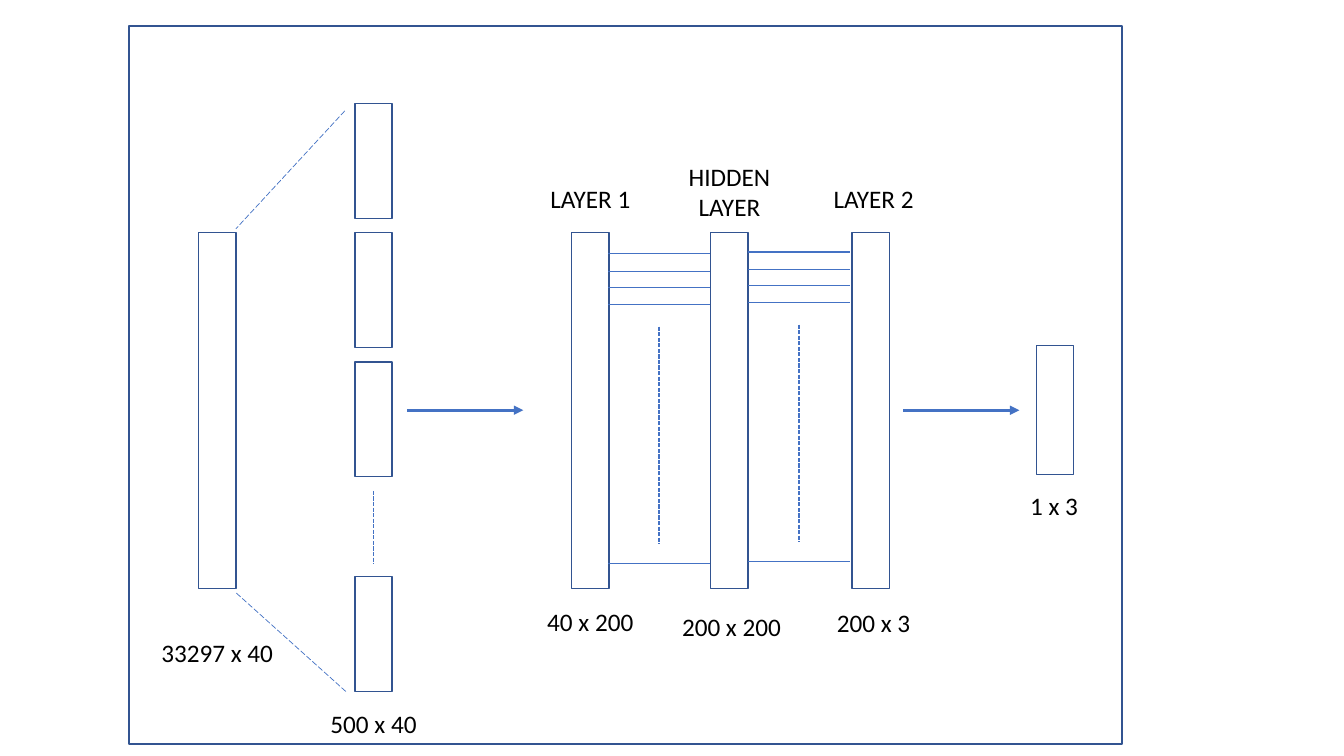
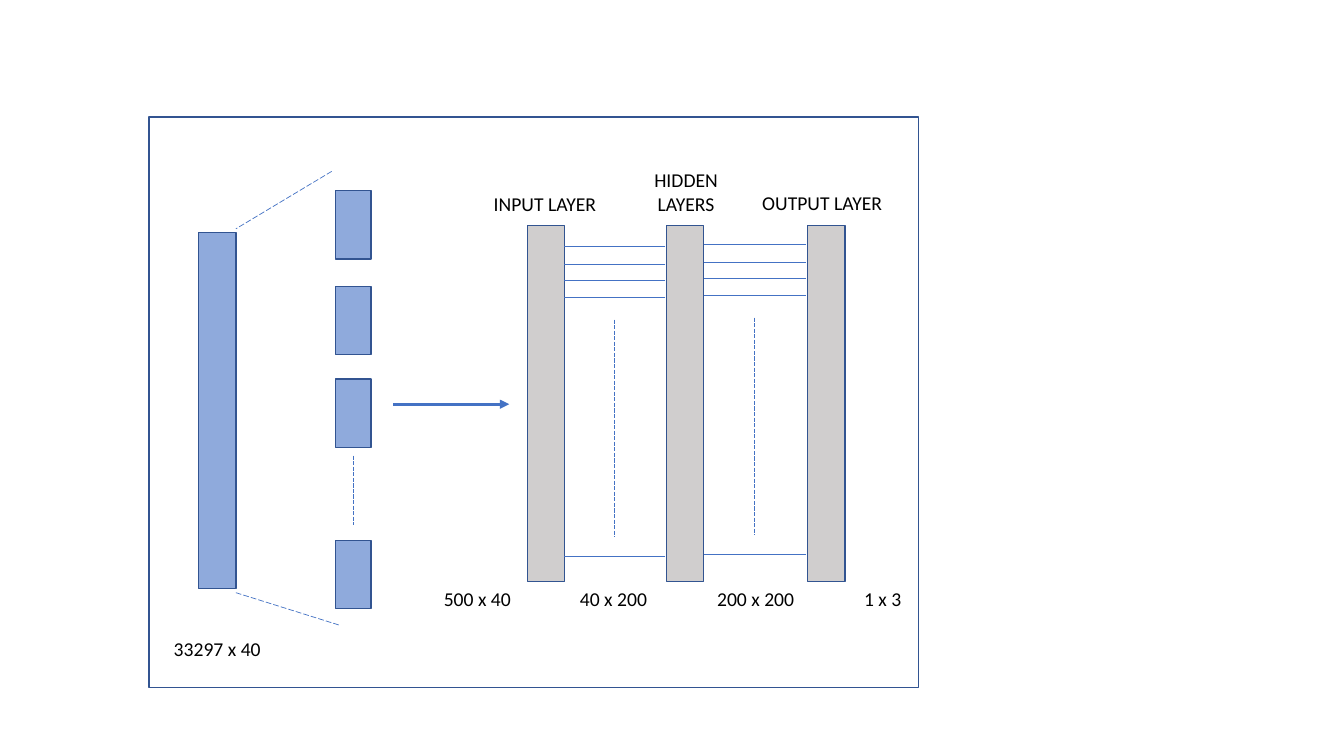
from pptx import Presentation
from pptx.dml.color import RGBColor
from pptx.enum.dml import MSO_LINE
from pptx.enum.shapes import MSO_CONNECTOR, MSO_SHAPE
from pptx.enum.text import PP_ALIGN
from pptx.oxml.ns import qn
from pptx.util import Inches, Pt
from lxml import etree

COLORS = {"edge": "325491", "link": "4472C4", "text": "000000",
          "white": "FFFFFF", "data": "8FAADC", "layer": "D0CECE"}
RGB = {name: RGBColor.from_string(value) for name, value in COLORS.items()}
FONT = "Calibri"
DOTS, DASHES = MSO_LINE.SQUARE_DOT, MSO_LINE.LONG_DASH

BAR_W, BAR_H = 0.37, 3.53            # data bar and layer bars
LABEL_W, LINE_H = 1.61, 0.4          # usual label box
ARROW_W = 1.15
LAYER_STEPS = (0, 1.38, 2.78)        # layers, from the network's left edge
LINK_STEPS = (0.21, 0.38, 0.54, 0.71, 3.28)  # links, from the network's top
LINK_GAPS = ((0.36, 0), (1.75, -0.02))       # left and rise of each link group
LINK_W = 1.01
DATA_X, DATA_Y = 1.97, 2.31


def box(s, x, y, w, h, fill=None):
    """Add an outlined rectangle, hollow when no fill is named."""
    sp = s.shapes.add_shape(MSO_SHAPE.RECTANGLE, *map(Inches, (x, y, w, h)))
    sp.shadow.inherit = False
    sp.line.color.rgb = RGB["edge"]
    sp.line.width = Pt(1)
    if fill:
        sp.fill.solid()
        sp.fill.fore_color.rgb = RGB[fill]
    else:
        sp.fill.background()


def link(s, x1, y1, x2, y2, width=0.75, dash=None, arrow=False):
    """Add a straight connector, dashed or with an arrowhead on request."""
    c = s.shapes.add_connector(MSO_CONNECTOR.STRAIGHT,
                               *map(Inches, (x1, y1, x2, y2)))
    c.line.color.rgb = RGB["link"]
    c.line.width = Pt(width)
    if dash:
        c.line.dash_style = dash
    if arrow:
        etree.SubElement(c.line._get_or_add_ln(), qn("a:tailEnd"), type="triangle")
    etree.SubElement(c._element.spPr, qn("a:effectLst"))


# batches: left, width, height, tops; labels: text, left, top, width, lines
SLIDES = [
    dict(frame=(1.28, 0.26, 9.85, 7.12), frame_fill=None,
         data_fill=None, layer_fill=None, size=18,
         batches=(3.52, 0.37, 1.14, (1.03, 2.31, 3.59, 5.72)),
         more=(4.87, 5.59), fan=((3.42, 1.1), (3.43, 6.86)),
         network=(5.67, 2.31), arrows=((4.04, 4.07), (8.96, 4.07)),
         result=(10.28, 3.43, BAR_W, 1.28),
         labels=[("33297 x 40", 1.35, 6.27, LABEL_W, 1),
                 ("500 x 40", 2.9, 6.98, LABEL_W, 1),
                 ("LAYER 1", 5.05, 1.77, LABEL_W, 1),
                 ("HIDDEN LAYER", 6.43, 1.55, LABEL_W, 2),
                 ("LAYER 2", 7.86, 1.77, LABEL_W, 1),
                 ("40 x 200", 5.05, 5.97, LABEL_W, 1),
                 ("200 x 200", 6.45, 6.02, LABEL_W, 1),
                 ("200 x 3", 7.86, 5.98, LABEL_W, 1),
                 ("1 x 3", 9.65, 4.82, LABEL_W, 1)]),
    dict(frame=(1.48, 1.16, 7.63, 5.66), frame_fill="white",
         data_fill="data", layer_fill="layer", size=14,
         batches=(3.33, 0.35, 0.68, (1.89, 2.84, 3.76, 5.36)),
         more=(4.52, 5.21), fan=((3.29, 1.7), (3.36, 6.2)),
         network=(5.23, 2.24), arrows=((3.9, 4.01),), result=None,
         labels=[("33297 x 40", 1.35, 6.27, LABEL_W, 1),
                 ("INPUT LAYER", 4.6, 1.85, LABEL_W, 1),
                 ("HIDDEN LAYERS", 6.17, 1.62, 1.27, 2),
                 ("OUTPUT LAYER", 7.35, 1.84, LABEL_W, 1),
                 ("500 x 40", 3.93, 5.77, LABEL_W, 1),
                 ("40 x 200", 5.28, 5.77, LABEL_W, 1),
                 ("200 x 200", 6.69, 5.77, LABEL_W, 1),
                 ("1 x 3", 7.95, 5.77, LABEL_W, 1)]),
]

prs = Presentation()
prs.slide_width, prs.slide_height = Inches(13.33), Inches(7.5)

for d in SLIDES:
    s = prs.slides.add_slide(prs.slide_layouts[6])
    box(s, *d["frame"], d["frame_fill"])

    # Data and its batches
    box(s, DATA_X, DATA_Y, BAR_W, BAR_H, d["data_fill"])
    left, width, height, tops = d["batches"]
    for top in tops:
        box(s, left, top, width, height, d["data_fill"])
    middle = left + width / 2
    link(s, middle, d["more"][0], middle, d["more"][1], 1, DOTS)
    for (x, y), corner in zip(d["fan"], (DATA_Y - 0.04, DATA_Y + BAR_H + 0.04)):
        link(s, x, y, DATA_X + BAR_W, corner, 0.5, DASHES)

    # Network
    net_x, net_y = d["network"]
    for step in LAYER_STEPS:
        box(s, net_x + step, net_y, BAR_W, BAR_H, d["layer_fill"])
    for gap, rise in LINK_GAPS:
        x, y = net_x + gap, net_y + rise
        for step in LINK_STEPS:
            link(s, x + LINK_W, y + step, x, y + step)
        middle = x + LINK_W / 2
        link(s, middle, y + 0.93, middle, y + 3.08, 1, DOTS)
    for x, y in d["arrows"]:
        link(s, x, y, x + ARROW_W, y, 2.25, arrow=True)
    if d["result"]:
        box(s, *d["result"])

    # Labels
    for text, x, y, w, lines in d["labels"]:
        h = 0.1 + lines * d["size"] / 60
        tf = s.shapes.add_textbox(*map(Inches, (x, y, w, h))).text_frame
        tf.word_wrap = True
        p = tf.paragraphs[0]
        p.alignment = PP_ALIGN.CENTER
        r = p.add_run()
        r.text = text
        r.font.name, r.font.size = FONT, Pt(d["size"])
        r.font.color.rgb = RGB["text"]

prs.save("out.pptx")
